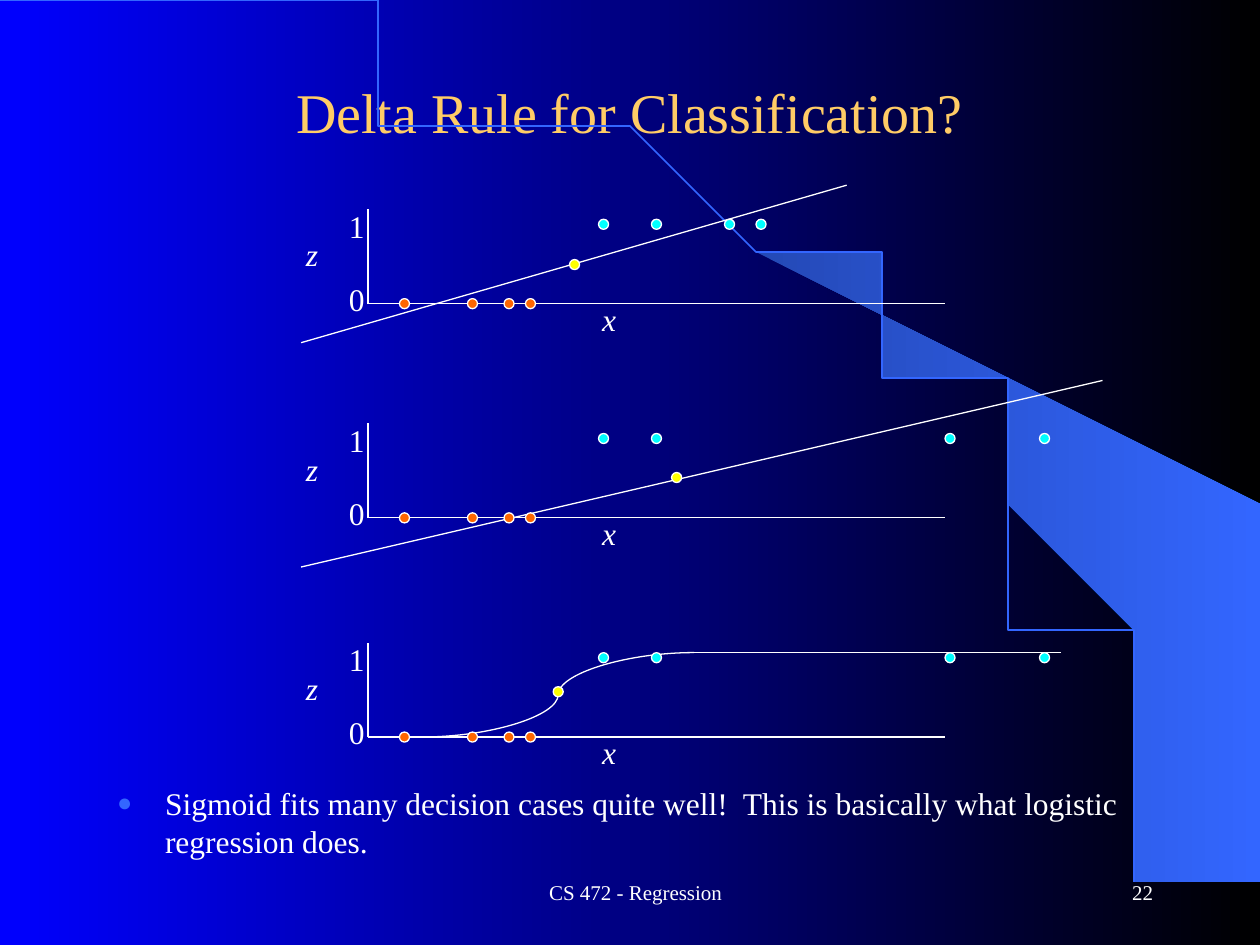
from math import cos, pi, sin

from lxml import etree
from pptx import Presentation
from pptx.dml.color import RGBColor
from pptx.enum.shapes import MSO_CONNECTOR, MSO_SHAPE
from pptx.enum.text import MSO_ANCHOR, MSO_AUTO_SIZE, PP_ALIGN
from pptx.oxml.ns import qn
from pptx.util import Inches, Pt

STRAIGHT, CURVE = MSO_CONNECTOR.STRAIGHT, MSO_CONNECTOR.CURVE
OVAL = MSO_SHAPE.OVAL
LEFT, CENTER, RIGHT = PP_ALIGN.LEFT, PP_ALIGN.CENTER, PP_ALIGN.RIGHT
TOP, MIDDLE = MSO_ANCHOR.TOP, MSO_ANCHOR.MIDDLE

WHITE = RGBColor(0xFF, 0xFF, 0xFF)
BLACK = RGBColor(0x00, 0x00, 0x00)
BLUE = RGBColor(0x00, 0x00, 0xFF)
SKY = RGBColor(0x33, 0x66, 0xFF)
DEEP_SKY = RGBColor(0x24, 0x49, 0xB6)
GOLD = RGBColor(0xFF, 0xCC, 0x66)
CYAN = RGBColor(0x00, 0xFF, 0xFF)
ORANGE = RGBColor(0xFF, 0x66, 0x00)
YELLOW = RGBColor(0xFF, 0xFF, 0x00)

FONT = "Times New Roman"
DOT = 0.08
AXIS_LEFT, AXIS_RIGHT, AXIS_HEIGHT = 2.92, 7.5, 0.75
ONE_HEIGHT = 0.63
CLASS_0 = (3.21, 3.75, 4.04, 4.21)
CLASS_1_NEAR = (4.79, 5.21, 5.79, 6.04)
CLASS_1_FAR = (4.79, 5.21, 7.54, 8.29)
ARC_WIDTH, ARC_HEIGHT = 9.2, 7.49
WEDGE = [(9.2, 7.48), (9.99, 7.49), (9.99, 4.23), (5.89, 1.73), (6.24, 1.99),
         (6.53, 2.22), (6.85, 2.5), (7.16, 2.8), (7.62, 3.3), (8.03, 3.84),
         (8.32, 4.31), (8.58, 4.79), (8.78, 5.28), (8.93, 5.72), (9.03, 6.09),
         (9.13, 6.56), (9.17, 6.96)]

# Baseline, class 1 positions, decision point and fitted segments of each plot
PLOTS = [
    (2.41, CLASS_1_NEAR, (4.56, 2.1), [(STRAIGHT, 6.72, 1.47, 2.39, 2.72)]),
    (4.11, CLASS_1_FAR, (5.37, 3.79), [(STRAIGHT, 8.75, 3.02, 2.39, 4.5)]),
    (5.85, CLASS_1_FAR, (4.43, 5.49), [(CURVE, 3.35, 5.85, 5.51, 5.18),
                                       (STRAIGHT, 5.51, 5.18, 8.42, 5.18)]),
]


def set_gradient(fill, start, end):
    fill.gradient()
    fill.gradient_angle = 0
    for stop, position, color in zip(fill.gradient_stops, (0, 1), (start, end)):
        stop.position = position
        stop.color.rgb = color


def add_outline(s, points, close):
    builder = s.shapes.build_freeform(*points[0], scale=Inches(1))
    builder.add_line_segments(points[1:], close=close)
    sp = builder.convert_to_shape()
    sp.shadow.inherit = False
    return sp


def add_backdrop(s):
    set_gradient(s.background.fill, BLUE, BLACK)
    wedge = add_outline(s, WEDGE, True)
    set_gradient(wedge.fill, DEEP_SKY, SKY)
    wedge.line.fill.background()

    steps = 90
    angles = [pi / 2 * i / steps for i in range(steps + 1)]
    arc = add_outline(s, [(ARC_WIDTH * sin(a), ARC_HEIGHT * (1 - cos(a)))
                          for a in angles], False)
    arc.fill.background()
    arc.line.color.rgb = SKY
    arc.line.width = Pt(1)


def write(sp, text, size, color=WHITE, align=LEFT, anchor=TOP, italic=False):
    tf = sp.text_frame
    tf.text = text
    tf.vertical_anchor = anchor
    p = tf.paragraphs[0]
    p.alignment = align
    font = p.runs[0].font
    font.name, font.size, font.italic = FONT, Pt(size), italic
    font.color.rgb = color
    return p


def fill_placeholder(sp, box, text, size, **style):
    sp.left, sp.top, sp.width, sp.height = map(Inches, box)
    sp.text_frame.auto_size = MSO_AUTO_SIZE.NONE
    return write(sp, text, size, **style)


def add_bullet(p):
    pPr = p._p.get_or_add_pPr()
    pPr.set("marL", str(Inches(0.38)))
    pPr.set("indent", str(Inches(-0.38)))
    color = etree.SubElement(pPr, qn("a:buClr"))
    etree.SubElement(color, qn("a:srgbClr"), val=str(SKY))
    etree.SubElement(pPr, qn("a:buSzPct"), val="80000")
    etree.SubElement(pPr, qn("a:buFont"), typeface=FONT)
    etree.SubElement(pPr, qn("a:buChar"), char="●")


def add_text(s, box, text, size, wrap=True, **style):
    sp = s.shapes.add_textbox(*map(Inches, box))
    sp.text_frame.word_wrap = wrap
    write(sp, text, size, **style)


def add_line(s, kind, *ends):
    line = s.shapes.add_connector(kind, *map(Inches, ends))
    line.line.color.rgb = WHITE
    line.line.width = Pt(0.75)
    etree.SubElement(line._element.spPr, qn("a:effectLst"))


def add_dot(s, x, y, color):
    """Draw a data point centred on x, y."""
    sp = s.shapes.add_shape(OVAL, Inches(x - DOT / 2), Inches(y - DOT / 2),
                            Inches(DOT), Inches(DOT))
    sp.shadow.inherit = False
    sp.fill.solid()
    sp.fill.fore_color.rgb = color
    sp.line.color.rgb = WHITE
    sp.line.width = Pt(0.75)


def add_plot(s, base, class_1, decision, fit):
    add_line(s, STRAIGHT, AXIS_LEFT, base, AXIS_RIGHT, base)
    add_line(s, STRAIGHT, AXIS_LEFT, base, AXIS_LEFT, base - AXIS_HEIGHT)
    for text, x, dy, width in (("x", 4.68, -0.08, 0.4), ("z", 2.33, -0.59, 0.39),
                               ("0", 2.67, -0.24, 0.33), ("1", 2.67, -0.82, 0.33)):
        add_text(s, (x, base + dy, width, 0.4), text, 18, wrap=False,
                 italic=text.isalpha())
    for segment in fit:
        add_line(s, *segment)
    for x in class_1:
        add_dot(s, x, base - ONE_HEIGHT, CYAN)
    for x in CLASS_0:
        add_dot(s, x, base, ORANGE)
    add_dot(s, *decision, YELLOW)


def main():
    prs = Presentation()
    prs.slide_width, prs.slide_height = Inches(10), Inches(7.5)
    s = prs.slides.add_slide(prs.slide_layouts[1])
    add_backdrop(s)
    fill_placeholder(s.shapes.title, (0.75, 0.42, 8.5, 0.92),
                     "Delta Rule for Classification?", 32,
                     color=GOLD, align=CENTER, anchor=MIDDLE)
    p = fill_placeholder(s.placeholders[1], (0.83, 6.17, 8.5, 0.67),
                         "Sigmoid fits many decision cases quite well!  "
                         "This is basically what logistic regression does.", 18)
    add_bullet(p)
    add_text(s, (3.17, 6.83, 3.75, 0.5), "CS 472 - Regression", 12,
             align=CENTER, anchor=MIDDLE)
    add_text(s, (7.17, 6.83, 2.08, 0.5), "22", 12, align=RIGHT, anchor=MIDDLE)
    for plot in PLOTS:
        add_plot(s, *plot)
    prs.save("out.pptx")


if __name__ == "__main__":
    main()
